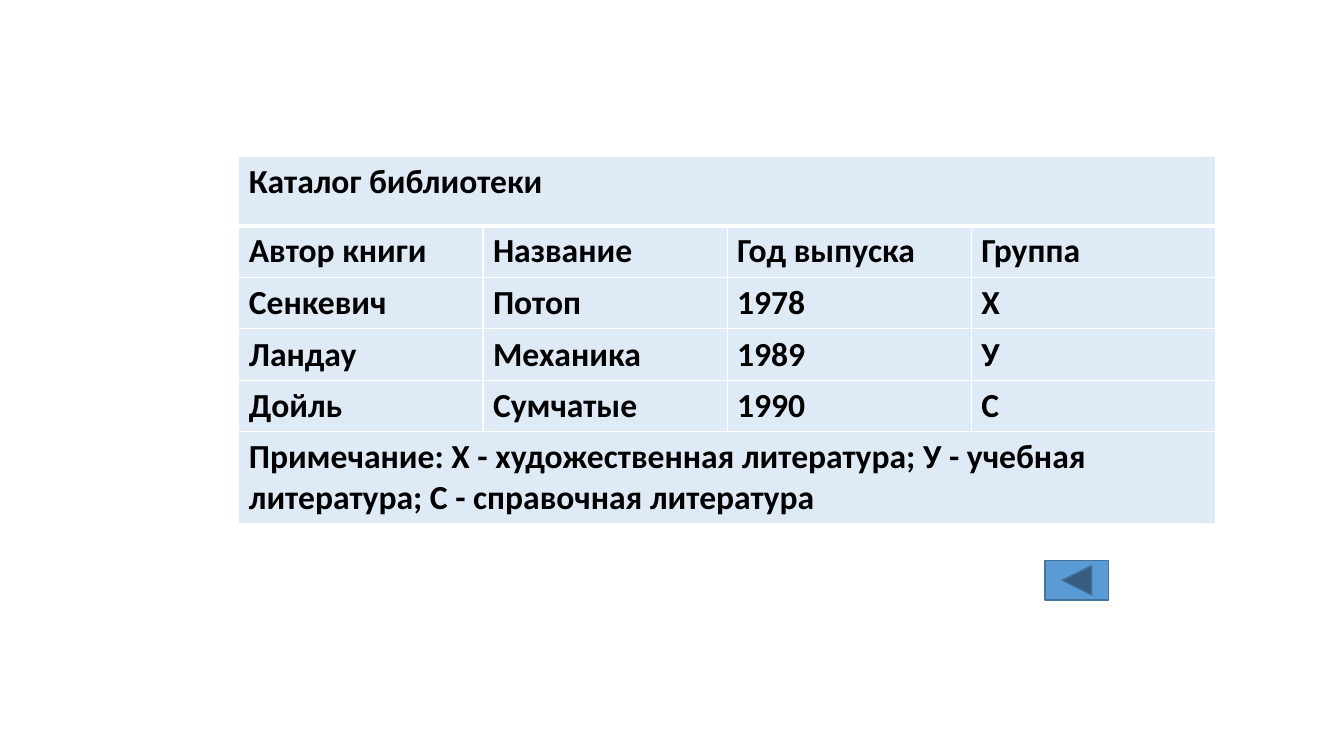
"""Build a slide with a library catalogue table and a back button."""
from lxml.etree import SubElement
from pptx import Presentation
from pptx.dml.color import RGBColor
from pptx.enum.shapes import MSO_SHAPE
from pptx.enum.text import MSO_ANCHOR
from pptx.oxml.ns import qn
from pptx.util import Pt

TITLE = "Каталог библиотеки"
NOTE = ("Примечание: Х - художественная литература; "
        "У - учебная литература; С - справочная литература")
ROWS = [
    [TITLE],
    ["Автор книги", "Название", "Год выпуска", "Группа"],
    ["Сенкевич", "Потоп", "1978", "Х"],
    ["Ландау", "Механика", "1989", "У"],
    ["Дойль", "Сумчатые", "1990", "C"],
    [NOTE],
]
HEIGHTS = [49.7, 36.8, 36.8, 36.8, 36.8, 63.4]
COLS = 4
WIDTH = 174.4


def paint(fill, color):
    """Give a fill one solid colour."""
    fill.solid()
    fill.fore_color.rgb = RGBColor.from_string(color)


def add_edge(cell, side, width, color):
    """Draw one border of a cell."""
    props = cell._tc.get_or_add_tcPr()
    line = SubElement(props, qn("a:ln" + side), w=str(Pt(width)))
    solid = SubElement(line, qn("a:solidFill"))
    SubElement(solid, qn("a:srgbClr"), val=color)


def style_cell(cell, row):
    """Set the borders, fill and anchor of a cell."""
    widths = {"L": 1, "R": 1, "T": 3 if row == 1 else 1, "B": 3 if row == 0 else 1}
    for side, width in widths.items():
        add_edge(cell, side, width, "FFFFFF")
    paint(cell.fill, "DEEBF7")
    cell.vertical_anchor = MSO_ANCHOR.MIDDLE if row else MSO_ANCHOR.TOP


def write_cell(cell, text):
    """Put bold text into a cell."""
    cell.text = text
    font = cell.text_frame.paragraphs[0].font
    font.name, font.size, font.bold = "Calibri", Pt(24), True
    font.color.rgb = RGBColor.from_string("000000")


def add_catalog(slide, left, top):
    """Add the catalogue table."""
    frame = slide.shapes.add_table(len(ROWS), COLS, Pt(left), Pt(top),
                                   Pt(COLS * WIDTH), Pt(sum(HEIGHTS)))
    table = frame.table
    for col in table.columns:
        col.width = Pt(WIDTH)
    for row, texts in enumerate(ROWS):
        table.rows[row].height = Pt(HEIGHTS[row])
        for col in range(COLS):
            style_cell(table.cell(row, col), row)
        if len(texts) == 1:
            table.cell(row, 0).merge(table.cell(row, COLS - 1))
        for col, text in enumerate(texts):
            write_cell(table.cell(row, col), text)


def add_button(slide, left, top, width, height):
    """Add the back button."""
    button = slide.shapes.add_shape(MSO_SHAPE.ACTION_BUTTON_BACK_OR_PREVIOUS,
                                    Pt(left), Pt(top), Pt(width), Pt(height))
    button.shadow.inherit = False
    paint(button.fill, "5B9BD5")
    paint(button.line.fill, "43739E")
    button.line.width = Pt(1)


def main():
    """Build and save the slide."""
    deck = Presentation()
    deck.slide_width, deck.slide_height = Pt(960), Pt(540)
    slide = deck.slides.add_slide(deck.slide_layouts[6])
    add_button(slide, 746.6, 400.4, 45.4, 28.2)
    add_catalog(slide, 170.6, 111.6)
    deck.save("out.pptx")


if __name__ == "__main__":
    main()
